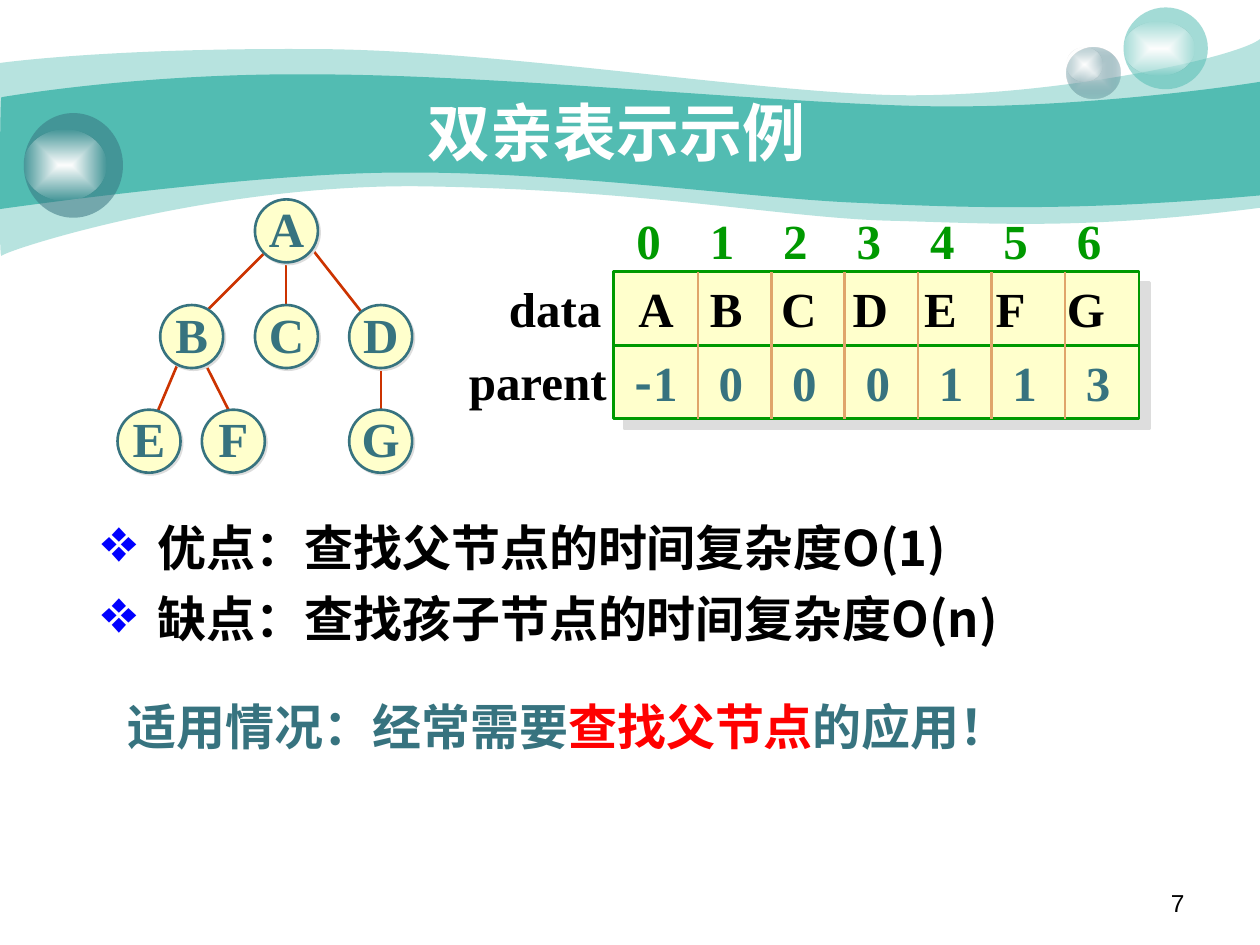
from collections import namedtuple

from lxml.etree import SubElement
from pptx import Presentation
from pptx.dml.color import RGBColor
from pptx.enum.shapes import MSO_CONNECTOR as Link, MSO_SHAPE as Preset
from pptx.enum.text import MSO_ANCHOR as Anchor, PP_ALIGN as Align
from pptx.oxml import parse_xml
from pptx.oxml.ns import nsdecls, qn
from pptx.util import Cm, Pt

Box = namedtuple("Box", "left top width height")

TEAL = RGBColor(0x52, 0xBC, 0xB2)
SLATE = RGBColor(0x37, 0x73, 0x7F)
MIST = RGBColor(0xCC, 0xDB, 0xDE)
WHITE = RGBColor(0xFF, 0xFF, 0xFF)
BLACK = RGBColor(0, 0, 0)
CREAM = RGBColor(0xFF, 0xFF, 0xCC)
GREEN = RGBColor(0, 0x99, 0)
TAN = RGBColor(0xE0, 0xA5, 0x6A)
RUST = RGBColor(0xCC, 0x33, 0)
RED = RGBColor(0xFF, 0, 0)
BLUE = RGBColor(0, 0, 0xFF)
GREY = RGBColor(0xDD, 0xDD, 0xDD)

SANS = {"name": "Noto Sans CJK SC", "size": Pt(28), "bold": True}
SERIF = {"name": "Times New Roman", "size": Pt(28), "bold": True}
NUMBER = {"name": "Arial", "size": Pt(14)}

LIGHT_WAVE = [
    (0, 1.27),
    (0.61, 1.19, 2.72, 0.97, 6.27, 0.99), (9.8, 0.99, 14.61, 1.78, 17.75, 1.91),
    (20.88, 2.03, 24.89, 1.19, 25.4, 0.79), (25.4, 4.19),
    (21.79, 4.65, 19.99, 4.5, 17.91, 4.45), (15.8, 4.39, 13.08, 3.84, 8.71, 3.76),
    (4.37, 3.66, 0.1, 5.05, 0.03, 5.16), (-0.03, 5.28, 0, 1.91, 0, 1.27),
]
DARK_WAVE = [
    (0.03, 1.96),
    (0.05, 1.96, 2.79, 1.47, 6.3, 1.5), (9.8, 1.5, 15.11, 2.03, 18.24, 2.13),
    (21.36, 2.24, 24.79, 1.75, 25.4, 1.65), (25.4, 3.94),
    (21.67, 4.27, 19.43, 4.19, 17.32, 4.09), (15.21, 4.01, 11.35, 3.45, 8.05, 3.48),
    (5.16, 3.48, -0.05, 4.22, -0.03, 4.22), (0, 4.22, 0, 1.96, 0.03, 1.96),
]
NODES = {"A": (2.77, 0), "B": (0.86, 2.13), "C": (2.77, 2.13), "D": (4.67, 2.13),
         "E": (0, 4.24), "F": (1.7, 4.24), "G": (4.67, 4.24)}
EDGES = [(2.97, 1.07, 1.7, 2.34), (3.4, 1.07, 3.4, 2.34), (3.81, 0.86, 5.31, 2.77),
         (1.27, 3.18, 0.64, 4.67), (1.7, 3.18, 2.34, 4.45), (5.31, 3.18, 5.31, 4.67)]


def write(para, spans, align=Align.LEFT):
    """Fill a paragraph with (text, format, colour) spans."""
    para.alignment = align
    for text, style, color in spans:
        span = para.add_run()
        span.text = text
        span.font.color.rgb = color
        for key, value in style.items():
            setattr(span.font, key, value)
        SubElement(span.font._element, qn("a:ea"), typeface=style["name"])


def set_frame(frame, anchor=Anchor.MIDDLE, margin=0):
    """Give a text frame wrapping, an anchor and equal margins."""
    values = {"word_wrap": True, "vertical_anchor": anchor}
    values.update({f"margin_{side}": Cm(margin) for side in ("left", "right", "top", "bottom")})
    for key, value in values.items():
        setattr(frame, key, value)


def add_label(page, box, spans, align=Align.CENTER, **frame_values):
    """Add a text box holding one paragraph."""
    frame = page.shapes.add_textbox(*map(Cm, box)).text_frame
    set_frame(frame, **frame_values)
    write(frame.paragraphs[0], spans, align)
    return frame


def add_line(page, box, ends, color):
    """Add a straight line whose ends are relative to the box."""
    x1, y1, x2, y2 = ends
    line = page.shapes.add_connector(
        Link.STRAIGHT, Cm(box.left + x1), Cm(box.top + y1), Cm(box.left + x2), Cm(box.top + y2))
    line.line.color.rgb = color
    line.line.width = Pt(1.5)
    SubElement(line.element.spPr, qn("a:effectLst"))


def add_preset(page, preset, box, fill, line=None, shadow=0):
    """Add a filled preset shape, with an optional outline and shadow in points."""
    shape = page.shapes.add_shape(preset, *map(Cm, box))
    shape.shadow.inherit = False
    shape.fill.solid()
    shape.fill.fore_color.rgb = fill
    shape.line.fill.background()
    if line is not None:
        shape.line.color.rgb = line
        shape.line.width = Pt(1.5)
    if shadow:
        effects = shape.element.spPr.find(qn("a:effectLst"))
        effects.append(parse_xml(
            f'<a:outerShdw {nsdecls("a")} dist="{Pt(shadow)}" dir="2700000" algn="ctr" '
            f'rotWithShape="0"><a:srgbClr val="{GREY}"/></a:outerShdw>'))
    return shape


def set_alpha(shape, percent):
    """Make a solid fill see-through."""
    color = shape.element.spPr.find(qn("a:solidFill")).find(qn("a:srgbClr"))
    SubElement(color, qn("a:alpha"), val=str(percent * 1000))


def add_glow(page, box, inner, outer, alpha):
    """Add an ellipse whose fill fades from its centre."""
    shape = add_preset(page, Preset.OVAL, box, inner)
    properties = shape.element.spPr
    properties.replace(properties.find(qn("a:solidFill")), parse_xml(
        f'<a:gradFill {nsdecls("a")} rotWithShape="1"><a:gsLst>'
        f'<a:gs pos="0"><a:srgbClr val="{inner}"/></a:gs><a:gs pos="100000">'
        f'<a:srgbClr val="{outer}"><a:alpha val="{alpha * 1000}"/></a:srgbClr></a:gs></a:gsLst>'
        '<a:path path="rect"><a:fillToRect l="50000" t="50000" r="50000" b="50000"/></a:path>'
        '</a:gradFill>'))


def add_wave(page, box, segments, alpha):
    """Draw an outline, merging the three points of each curve into a cubic segment."""
    points = [(Cm(box.left + x), Cm(box.top + y))
              for segment in segments for x, y in zip(segment[::2], segment[1::2])]
    builder = page.shapes.build_freeform(*points[0])
    builder.add_line_segments(points[1:])
    shape = builder.convert_to_shape()
    steps = iter(list(shape.element.spPr.iter(qn("a:lnTo"))))
    for segment in segments[1:]:
        first = next(steps)
        if len(segment) == 6:
            first.tag = qn("a:cubicBezTo")
            for extra in (next(steps), next(steps)):
                first.append(extra[0])
                extra.getparent().remove(extra)
    shape.shadow.inherit = False
    shape.fill.solid()
    shape.fill.fore_color.rgb = TEAL
    set_alpha(shape, alpha)
    shape.line.fill.background()


def add_banner(page, box):
    """Draw the two waves and the three glass balls."""
    add_wave(page, box, LIGHT_WAVE, 41)
    add_wave(page, box, DARK_WAVE, 100)
    x, y = box.left, box.top
    add_glow(page, Box(x + 21.51, y + 0.95, 1.07, 1.03), MIST, SLATE, 31)
    add_glow(page, Box(x + 21.51, y + 0.95, 0.71, 0.69), WHITE, WHITE, 0)
    balls = [(Box(x + 22.65, y + 0.15, 1.7, 1.65), TEAL, Box(x + 22.65, y + 0.43, 1.42, 1.09)),
             (Box(x + 0.48, y + 2.28, 2, 2.11), SLATE, Box(x + 0.48, y + 2.62, 1.67, 1.42))]
    for ball, color, shine in balls:
        set_alpha(add_preset(page, Preset.OVAL, ball, color), 53)
        add_glow(page, shine, WHITE, WHITE, 0)


def add_title(page, box):
    """Place and format the title placeholder above the banner."""
    title = page.shapes.title
    title.element.getparent().append(title.element)
    for key, value in box._asdict().items():
        setattr(title, key, Cm(value))
    set_frame(title.text_frame)
    write(title.text_frame.paragraphs[0],
          [("双亲表示示例", {**SANS, "size": Pt(36)}, WHITE)], Align.CENTER)


def add_tree(page, box):
    """Draw the edges and then the lettered nodes."""
    for ends in EDGES:
        add_line(page, box, ends, RUST)
    for letter, (x, y) in NODES.items():
        node = add_preset(page, Preset.OVAL, Box(box.left + x, box.top + y, 1.27, 1.27),
                          CREAM, SLATE, 1.4)
        set_frame(node.text_frame)
        node.text_frame.word_wrap = False
        node.text_frame.margin_bottom = Cm(0.12)
        write(node.text_frame.paragraphs[0], [(letter, SERIF, SLATE)], Align.CENTER)


def add_row(page, box, spans, first, step):
    """Write one row of the array, spaced by tab stops."""
    para = add_label(page, box, spans, Align.LEFT).paragraphs[0]
    stops = SubElement(para._p.get_or_add_pPr(), qn("a:tabLst"))
    for index in range(len(NODES) - 1):
        SubElement(stops, qn("a:tab"), pos=str(Cm(first + index * step)), algn="l")


def add_array(page, box):
    """Draw the parent array with its indices and row labels."""
    left, top, width, height = box
    step, row = 1.48, 1.45
    add_preset(page, Preset.RECTANGLE, box, CREAM, GREEN, 8.5)
    add_line(page, box, (0, height / 2, width, height / 2), GREEN)
    for index in range(len(NODES) - 1):
        x = 1.7 + index * step
        add_line(page, box, (x, 0, x, height), TAN)
    add_label(page, Box(left - 2.36, top, 2.36, row), [("data", SERIF, BLACK)])
    add_label(page, Box(left - 3.18, top + 1.48, 3.3, row), [("parent", SERIF, BLACK)])
    indices = "\t".join(map(str, range(len(NODES))))
    add_row(page, Box(left + 0.46, top - 1.36, 9.8, row), [(indices, SERIF, GREEN)], step, step)
    add_row(page, Box(left + 0.5, top, 9.8, row), [("\t".join(NODES), SERIF, BLACK)], 1.44, 1.44)
    add_row(page, Box(left + 0.43, top + 1.5, 9.8, row),
            [("-", SANS, SLATE), ("1\t0\t0\t0\t1\t1\t3", SERIF, SLATE)], 1.69, step)


def add_points(page, box):
    """Write the bulleted advantage and drawback."""
    frame = add_label(page, box, [("优点：查找父节点的时间复杂度O(1)", SANS, BLACK)],
                      Align.LEFT, anchor=Anchor.TOP, margin=0.2)
    write(frame.add_paragraph(), [("缺点：查找孩子节点的时间复杂度O(n)", SANS, BLACK)])
    for para in frame.paragraphs:
        para.space_before = Pt(7)
        properties = para._p.get_or_add_pPr()
        properties.set("marL", str(Cm(1.13)))
        properties.set("indent", str(-Cm(1.13)))
        SubElement(SubElement(properties, qn("a:buClr")), qn("a:srgbClr"), val=str(BLUE))
        SubElement(properties, qn("a:buSzPct"), val="125000")
        SubElement(properties, qn("a:buChar"), char="❖")


def add_use_case(page, box):
    """Write the sentence on where the method fits."""
    frame = add_label(page, box, [("适用情况：经常需要", SANS, SLATE), ("查找父节点", SANS, RED),
                                  ("的应用！", SANS, SLATE)],
                      Align.LEFT, anchor=Anchor.TOP, margin=0.2)
    frame.paragraphs[0].space_before = Pt(7)


def main():
    """Build and save the deck."""
    deck = Presentation()
    deck.slide_width, deck.slide_height = Cm(25.4), Cm(19.05)
    page = deck.slides.add_slide(deck.slide_layouts[5])
    add_banner(page, Box(0, 0, 25.4, 5.28))
    add_label(page, Box(18.16, 17.7, 5.92, 0.89), [("7", NUMBER, BLACK)],
              Align.RIGHT, anchor=Anchor.TOP, margin=0.2)
    add_tree(page, Box(2.37, 4.02, 5.94, 5.51))
    add_array(page, Box(12.37, 5.48, 10.59, 2.96))
    add_title(page, Box(0.99, 1.37, 22.86, 2.57))
    add_points(page, Box(1.85, 10.24, 22.05, 3))
    add_use_case(page, Box(2.38, 13.84, 18.62, 1.73))
    deck.save("out.pptx")


if __name__ == "__main__":
    main()
